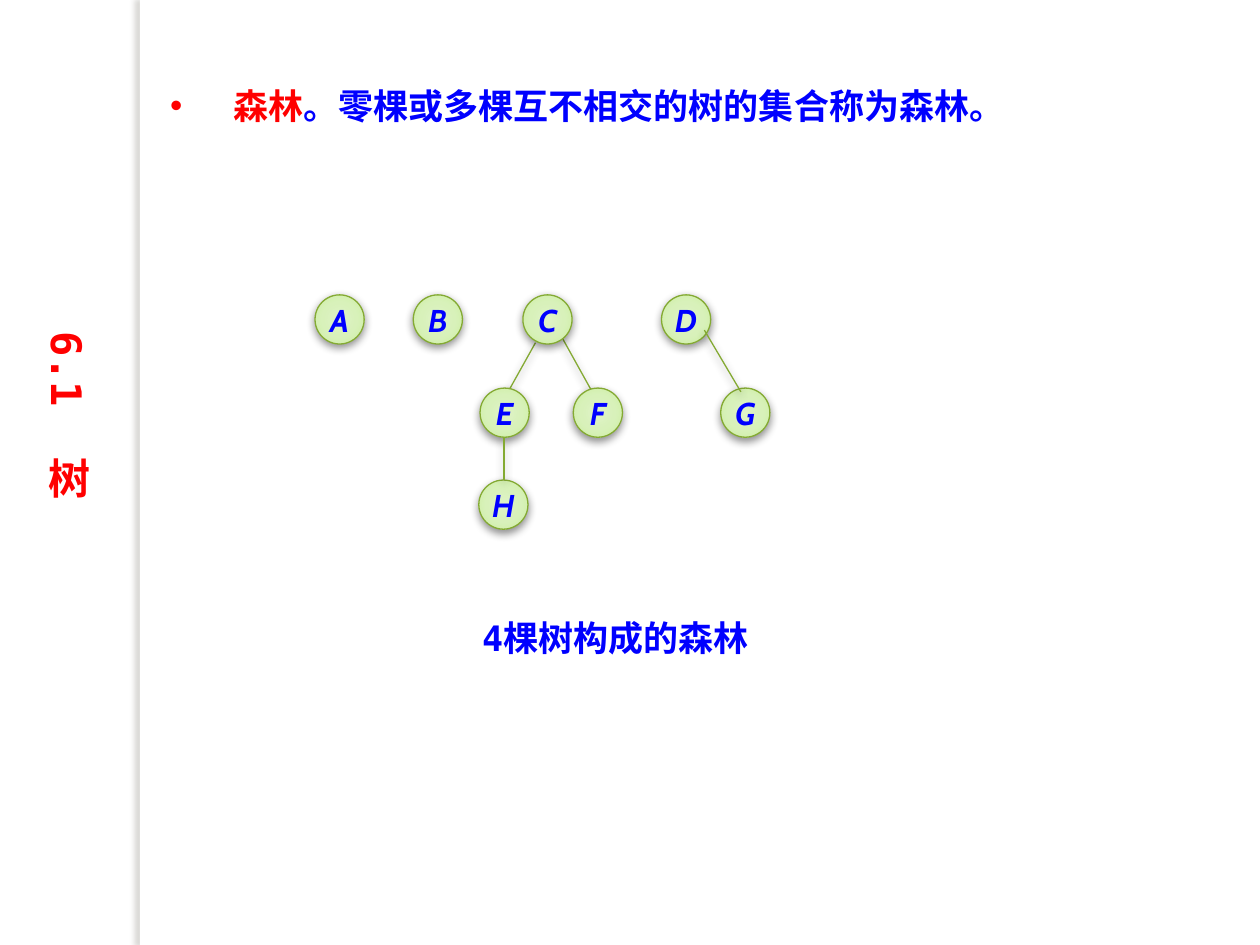
from lxml import etree
from pptx import Presentation
from pptx.dml.color import RGBColor
from pptx.enum.shapes import MSO_CONNECTOR, MSO_SHAPE
from pptx.enum.text import MSO_ANCHOR, MSO_AUTO_SIZE, PP_ALIGN
from pptx.oxml import parse_xml
from pptx.oxml.ns import nsdecls, qn
from pptx.util import Inches, Pt

OVAL, RECTANGLE = MSO_SHAPE.OVAL, MSO_SHAPE.RECTANGLE
STRAIGHT = MSO_CONNECTOR.STRAIGHT
TOP, MIDDLE = MSO_ANCHOR.TOP, MSO_ANCHOR.MIDDLE
LEFT, CENTER = PP_ALIGN.LEFT, PP_ALIGN.CENTER
GROW = MSO_AUTO_SIZE.SHAPE_TO_FIT_TEXT

RED = RGBColor(0xFF, 0x00, 0x00)
BLUE = RGBColor(0x00, 0x00, 0xFF)
GREEN = RGBColor(0x84, 0xAA, 0x33)
WHITE = RGBColor(0xFF, 0xFF, 0xFF)
SHADOW_BLACK = RGBColor(0x00, 0x00, 0x00)
SHADOW_GRAY = RGBColor(0x73, 0x6F, 0x63)
NODE_STOPS = [
    (0, RGBColor(0xDF, 0xF3, 0xC7)),
    (50, RGBColor(0xD8, 0xF1, 0xBA)),
    (97, RGBColor(0xCD, 0xEF, 0xA2)),
    (100, RGBColor(0xCA, 0xF1, 0x99)),
]

MONO, CHINESE, NODE_FONT = "DejaVu Sans Mono", "Noto Sans CJK SC", "Cabin"

NODE_SIZE = 0.39
ROOT_TOP, CHILD_TOP, LEAF_TOP = 2.34, 3.08, 3.81
NODES = [
    ("A", 2.5, ROOT_TOP), ("B", 3.28, ROOT_TOP),
    ("C", 4.15, ROOT_TOP), ("D", 5.25, ROOT_TOP),
    ("E", 3.81, CHILD_TOP), ("F", 4.55, CHILD_TOP),
    ("G", 5.72, CHILD_TOP), ("H", 3.8, LEAF_TOP),
]
EDGES_BEHIND = [(4.25, 2.72, 4.01, 3.15), (4.45, 2.66, 4.7, 3.11)]
EDGES_IN_FRONT = [(5.59, 2.62, 5.88, 3.11), (4, 3.47, 4, 3.81)]


def add_text(paragraph, text, font=MONO, size=20, color=BLUE, italic=False):
    run = paragraph.add_run()
    run.text = text
    run.font.name = font
    run.font.size = Pt(size)
    run.font.bold = True
    run.font.italic = italic
    run.font.color.rgb = color
    east_asian = etree.SubElement(run.font._element, qn("a:ea"))
    east_asian.set("typeface", CHINESE)


def place(shape, left, top, width, height):
    shape.left, shape.top = Inches(left), Inches(top)
    shape.width, shape.height = Inches(width), Inches(height)


def set_shadow(shape, color, opacity, blur, distance, angle):
    shape._element.spPr.append(parse_xml(
        f'<a:effectLst {nsdecls("a")}><a:outerShdw blurRad="{Pt(blur)}" '
        f'dist="{Pt(distance)}" dir="{angle * 60000}" rotWithShape="0">'
        f'<a:srgbClr val="{color}"><a:alpha val="{opacity * 1000}"/>'
        '</a:srgbClr></a:outerShdw></a:effectLst>'))


def set_radial_fill(shape, stops):
    stop_xml = "".join(
        f'<a:gs pos="{position * 1000}"><a:srgbClr val="{color}"/></a:gs>'
        for position, color in stops)
    shape._element.spPr.append(parse_xml(
        f'<a:gradFill {nsdecls("a")} rotWithShape="1"><a:gsLst>{stop_xml}'
        '</a:gsLst><a:path path="circle"><a:fillToRect l="50000" t="50000" '
        'r="50000" b="50000"/></a:path></a:gradFill>'))


def style_outline(shape):
    shape.line.color.rgb = GREEN
    shape.line.width = Pt(0.75)
    set_shadow(shape, SHADOW_BLACK, opacity=43, blur=5, distance=2, angle=90)


def add_node(slide, label, left, top):
    node = slide.shapes.add_shape(
        OVAL, Inches(left), Inches(top), Inches(NODE_SIZE), Inches(NODE_SIZE))
    set_radial_fill(node, NODE_STOPS)
    style_outline(node)
    frame = node.text_frame
    frame.word_wrap = False
    frame.vertical_anchor = MIDDLE
    paragraph = frame.paragraphs[0]
    paragraph.alignment = CENTER
    add_text(paragraph, label, font=NODE_FONT, size=18, italic=True)


def add_edge(slide, *ends):
    edge = slide.shapes.add_connector(STRAIGHT, *map(Inches, ends))
    style_outline(edge)


def add_side_strip(slide):
    strip = slide.shapes.add_shape(
        RECTANGLE, Inches(1.11), 0, Inches(0.08), Inches(7.5))
    strip.fill.solid()
    strip.fill.fore_color.rgb = WHITE
    strip.line.fill.background()
    set_shadow(strip, SHADOW_GRAY, opacity=25, blur=3, distance=3, angle=180)


def prepare_frame(shape, alignment):
    frame = shape.text_frame
    frame.word_wrap = True
    frame.auto_size = GROW
    frame.vertical_anchor = TOP
    paragraph = frame.paragraphs[0]
    paragraph.alignment = alignment
    paragraph.space_before = Pt(0)
    return frame, paragraph


def fill_title(title):
    place(title, 0.23, 2.58, 0.61, 1.8)
    frame, paragraph = prepare_frame(title, LEFT)
    frame._txBody.bodyPr.set("vert", "eaVert")
    add_text(paragraph, "6.1  树", size=24, color=RED)


def fill_definition(body):
    place(body, 1.25, 0.62, 8.33, 0.44)
    _, paragraph = prepare_frame(body, LEFT)
    properties = paragraph._p.get_or_add_pPr()
    properties.set("marL", str(Inches(0.5)))
    properties.set("indent", str(Inches(-0.5)))
    add_text(paragraph, "森林", font=CHINESE, color=RED)
    add_text(paragraph, "。零棵或多棵互不相交的树的集合称为森林。")


def add_caption(slide):
    caption = slide.shapes.add_textbox(
        Inches(3.44), Inches(4.84), Inches(2.89), Inches(0.44))
    _, paragraph = prepare_frame(caption, CENTER)
    add_text(paragraph, "4棵树构成的森林")


def main():
    presentation = Presentation()
    presentation.slide_width = Inches(10)
    presentation.slide_height = Inches(7.5)
    slide = presentation.slides.add_slide(presentation.slide_layouts[1])

    # Section title, divider and definition
    add_side_strip(slide)
    fill_title(slide.shapes.title)
    fill_definition(slide.placeholders[1])

    # Forest of four trees
    for edge in EDGES_BEHIND:
        add_edge(slide, *edge)
    for node in NODES:
        add_node(slide, *node)
    for edge in EDGES_IN_FRONT:
        add_edge(slide, *edge)
    add_caption(slide)

    presentation.save("out.pptx")


if __name__ == "__main__":
    main()
